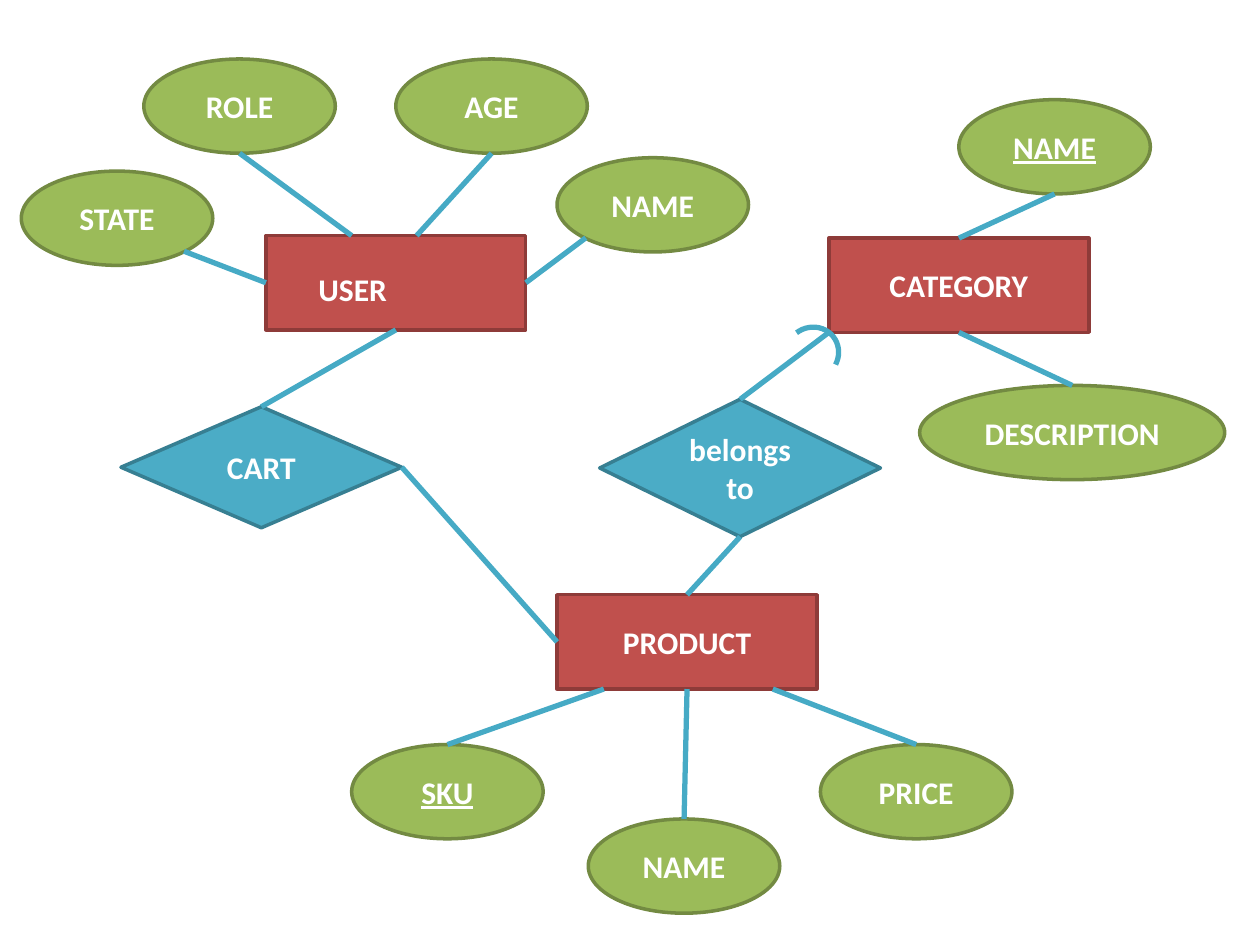
from dataclasses import dataclass

from pptx import Presentation, util as u
from pptx.dml.color import RGBColor
from pptx.enum import shapes, text
from pptx.oxml.ns import qn


@dataclass(frozen=True)
class Theme:
    entity: tuple = ("C0504D", "8E3B39")
    attribute: tuple = ("9BBB59", "738A42")
    relationship: tuple = ("4BACC6", "377F92")
    link: str = "46AAC5"
    label: str = "FFFFFF"
    font: str = "Calibri"
    label_size: int = 18
    outline: int = 2
    link_width: int = 3


THEME = Theme()
ENTITY_SIZE = (5.24, 1.9)
ATTRIBUTE_SIZE = (3.86, 1.9)
TOP, BOTTOM, LEFT, RIGHT = (0.5, 0), (0.5, 1), (0, 0.5), (1, 0.5)
LOWER_LEFT, LOWER_RIGHT = (0.15, 0.85), (0.85, 0.85)


def cm(*lengths):
    return [u.Cm(length) for length in lengths]


def add_label(shape, label, underline=False, alignment=text.PP_ALIGN.CENTER):
    paragraph = shape.text_frame.paragraphs[0]
    paragraph.alignment = alignment
    run = paragraph.add_run()
    run.text = label
    run.font.name = THEME.font
    run.font.size = u.Pt(THEME.label_size)
    run.font.bold = True
    run.font.underline = underline or None
    run.font.color.rgb = RGBColor.from_string(THEME.label)


def style_line(line, colour, width):
    line.color.rgb = RGBColor.from_string(colour)
    line.width = u.Pt(width)


def add_node(slide, preset, box, colours):
    shape = slide.shapes.add_shape(preset, *cm(*box))
    shape.shadow.inherit = False
    shape.fill.solid()
    shape.fill.fore_color.rgb = RGBColor.from_string(colours[0])
    style_line(shape.line, colours[1], THEME.outline)
    shape.text_frame.vertical_anchor = text.MSO_ANCHOR.MIDDLE
    return shape


def point_on(shape, anchor):
    return (int(shape.left + anchor[0] * shape.width),
            int(shape.top + anchor[1] * shape.height))


def link(slide, start, start_anchor, end, end_anchor):
    connector = slide.shapes.add_connector(
        shapes.MSO_CONNECTOR.STRAIGHT,
        *point_on(start, start_anchor), *point_on(end, end_anchor))
    style_line(connector.line, THEME.link, THEME.link_width)
    properties = connector._element.spPr
    properties.append(properties.makeelement(qn("a:effectLst"), {}))


def draw_entity(slide, left, top, attributes):
    entity = add_node(slide, shapes.MSO_SHAPE.RECTANGLE,
                      (left, top, *ENTITY_SIZE), THEME.entity)
    for name, offset, size, anchor, entity_anchor, is_key in attributes:
        box = (left + offset[0], top + offset[1], *size)
        attribute = add_node(slide, shapes.MSO_SHAPE.OVAL, box, THEME.attribute)
        add_label(attribute, name, is_key)
        link(slide, attribute, anchor, entity, entity_anchor)
    return entity


def draw_user(slide, left, top):
    user = draw_entity(slide, left, top, [
        ("AGE", (2.62, -3.56), ATTRIBUTE_SIZE, BOTTOM, (0.58, 0), False),
        ("NAME", (5.87, -1.57), ATTRIBUTE_SIZE, LOWER_LEFT, RIGHT, False),
        ("ROLE", (-2.46, -3.56), ATTRIBUTE_SIZE, BOTTOM, (0.33, 0), False),
        ("STATE", (-4.93, -1.3), ATTRIBUTE_SIZE, LOWER_RIGHT, LEFT, False),
    ])
    caption = slide.shapes.add_textbox(*cm(left + 0.81, top + 0.56, 3.78, 1.02))
    caption.text_frame.word_wrap = True
    add_label(caption, "USER", alignment=text.PP_ALIGN.LEFT)
    return user


def draw_category(slide, left, top):
    category = draw_entity(slide, left, top, [
        ("NAME", (2.62, -2.79), ATTRIBUTE_SIZE, BOTTOM, TOP, True),
        ("DESCRIPTION", (1.83, 2.97), (6.15, 1.9), TOP, BOTTOM, False),
    ])
    add_label(category, "CATEGORY")
    return category


def draw_product(slide, left, top):
    product = draw_entity(slide, left, top, [
        ("PRICE", (5.31, 3.02), ATTRIBUTE_SIZE, TOP, (0.83, 1), False),
        ("NAME", (0.63, 4.52), ATTRIBUTE_SIZE, TOP, BOTTOM, False),
        ("SKU", (-4.14, 3.02), ATTRIBUTE_SIZE, TOP, (0.18, 1), True),
    ])
    add_label(product, "PRODUCT")
    return product


def draw_relationship(slide, box, name, ends):
    diamond = add_node(slide, shapes.MSO_SHAPE.DIAMOND, box, THEME.relationship)
    add_label(diamond, name)
    for anchor, entity, entity_anchor in ends:
        link(slide, diamond, anchor, entity, entity_anchor)


def draw_cardinality_arc(slide, left, top):
    arc = slide.shapes.add_shape(shapes.MSO_SHAPE.ARC, *cm(left, top, 1.04, 1.09))
    arc.shadow.inherit = False
    arc.fill.background()
    style_line(arc.line, THEME.link, THEME.link_width)
    arc.rotation = 51.4
    for index, degrees in enumerate((181.7, 334.1)):
        arc.adjustments[index] = degrees * 0.6


def draw_diagram(slide):
    user = draw_user(slide, 5.36, 4.75)
    category = draw_category(slide, 16.71, 4.8)
    product = draw_product(slide, 11.23, 11.99)
    draw_relationship(slide, (12.09, 8.05, 5.66, 2.77), "belongs to", [
        (BOTTOM, product, TOP), (TOP, category, (0, 1))])
    draw_relationship(slide, (2.44, 8.2, 5.66, 2.44), "CART", [
        (TOP, user, BOTTOM), (RIGHT, product, LEFT)])
    draw_cardinality_arc(slide, 15.85, 6.58)


presentation = Presentation()
presentation.slide_width, presentation.slide_height = cm(25.4, 19.05)
draw_diagram(presentation.slides.add_slide(presentation.slide_layouts[6]))
presentation.save("out.pptx")
